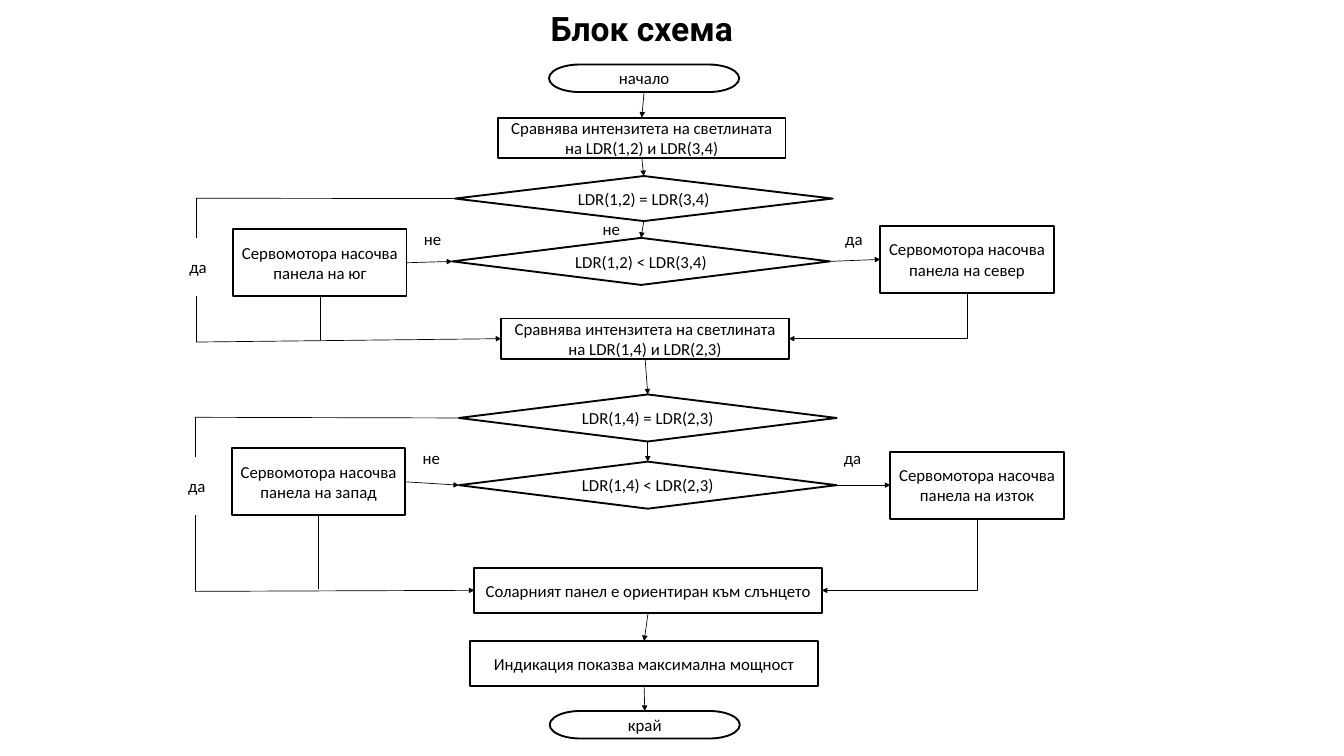
from collections import namedtuple

from lxml import etree
from pptx import Presentation, util as u
from pptx.dml.color import RGBColor
from pptx.enum import shapes, text
from pptx.oxml import ns

BLACK = RGBColor(0, 0, 0)
WHITE = RGBColor(255, 255, 255)
COLUMNS, ROWS = 200, 112.5
CELL = u.Inches(20) // COLUMNS
TOP, LEFT, BOTTOM, RIGHT = range(4)
FORM = shapes.MSO_SHAPE


class Box(namedtuple("Box", "left top width height")):
    def at(self, column, row, width, height):
        return Box(self.left + column, self.top + row, width, height)

    def point(self, column, row):
        return cells(self.left + column), cells(self.top + row)

    def lengths(self):
        return [cells(value) for value in self]


def cells(count):
    return u.Emu(round(count * CELL))


def write(frame, wording, size=18, font="Calibri", bold=False, align=text.PP_ALIGN.CENTER):
    frame.word_wrap = True
    frame.text = wording
    para = frame.paragraphs[0]
    para.alignment = align
    span = para.runs[0]
    span.font.size = u.Pt(size)
    span.font.name = font
    span.font.bold = bold
    span.font.color.rgb = BLACK


def add_label(page, box, wording, **style):
    frame = page.shapes.add_textbox(*box.lengths()).text_frame
    write(frame, wording, **style)
    frame.auto_size = text.MSO_AUTO_SIZE.SHAPE_TO_FIT_TEXT


def add_step(page, form, box, wording):
    step = page.shapes.add_shape(form, *box.lengths())
    step.shadow.inherit = False
    step.fill.solid()
    step.fill.fore_color.rgb = WHITE
    step.line.color.rgb = BLACK
    step.line.width = u.Pt(2)
    step.text_frame.vertical_anchor = text.MSO_ANCHOR.MIDDLE
    write(step.text_frame, wording)
    return step


def side_point(step, side):
    middle = step.left + step.width // 2, step.top + step.height // 2
    return {
        TOP: (middle[0], step.top),
        LEFT: (step.left, middle[1]),
        BOTTOM: (middle[0], step.top + step.height),
        RIGHT: (step.left + step.width, middle[1]),
    }[side]


def add_line(page, begin, end, arrow=False):
    line = page.shapes.add_connector(shapes.MSO_CONNECTOR.STRAIGHT, *begin, *end)
    line.line.color.rgb = BLACK
    line.line.width = u.Pt(0.75)
    if arrow:
        etree.SubElement(line.line._get_or_add_ln(), ns.qn("a:tailEnd"), type="triangle")
    etree.SubElement(line._element.spPr, ns.qn("a:effectLst"))
    return line


def link(page, begin, end, arrow=True):
    points = [side_point(*joint) if hasattr(joint[0], "shape_type") else joint for joint in (begin, end)]
    line = add_line(page, *points, arrow=arrow)
    if points[0] != begin:
        line.begin_connect(*begin)
    if points[1] != end:
        line.end_connect(*end)


def add_bend(page, begin, end):
    run, drop = begin[0] - end[0], end[1] - begin[1]
    left = (begin[0] + end[0] - drop) // 2
    top = (begin[1] + end[1] - run) // 2
    bend = add_line(page, (left, top), (left + drop, top + run), arrow=True)
    bend._element.spPr.find(ns.qn("a:xfrm")).set("rot", "5400000")
    bend._element.spPr.find(ns.qn("a:prstGeom")).set("prst", "bentConnector2")


def draw_opening(page, box):
    add_label(page, box.at(0, 0, 42.8, 7.1), "Блок схема", size=36, font="Roboto", bold=True)
    start = add_step(page, FORM.FLOWCHART_TERMINATOR, box.at(7.6, 8.9, 28.3, 4.1), "начало")
    compare = draw_comparison(page, box.at(0, 16.8, 42.8, 6), "LDR(1,2) и LDR(3,4)")
    link(page, (start, BOTTOM), (compare, TOP))
    return compare


def draw_comparison(page, box, pairs):
    return add_step(page, FORM.RECTANGLE, box, f"Сравнява интензитета на светлината на {pairs}")


def draw_closing(page, box):
    aligned = add_step(page, FORM.FLOWCHART_PROCESS, box.at(0.6, 0, 51.7, 6.7),
                       "Соларният панел е ориентиран към слънцето")
    display = add_step(page, FORM.FLOWCHART_PROCESS, box.at(0, 10.9, 51.7, 6.7),
                       "Индикация показва максимална мощност")
    finish = add_step(page, FORM.FLOWCHART_TERMINATOR, box.at(11.8, 21.3, 28.3, 4.1), "край")
    link(page, (aligned, BOTTOM), (display, TOP))
    link(page, (display, BOTTOM), (finish, TOP))
    return aligned


def draw_stage(page, box, pairs, directions, equal_box, less_box, east_row, source, target):
    equal = add_step(page, FORM.FLOWCHART_DECISION, box.at(*equal_box), " = ".join(pairs))
    less = add_step(page, FORM.FLOWCHART_DECISION, box.at(*less_box), " < ".join(pairs))
    places = (5.5, 4.6), (box.width - 25.8, east_row)
    west, east = [
        add_step(page, FORM.RECTANGLE, box.at(*place, 25.8, 10), f"Сервомотора насочва панела на {direction}")
        for place, direction in zip(places, directions)
    ]

    link(page, (source, BOTTOM), (equal, TOP))
    link(page, (equal, BOTTOM), (less, TOP))
    link(page, (west, RIGHT), (less, LEFT))
    link(page, (less, RIGHT), (east, LEFT))

    link(page, box.point(0, 0), (equal, LEFT), arrow=False)
    add_line(page, box.point(0, 0), box.point(0, 5.9))
    add_line(page, box.point(0, 14.6), box.point(0, box.height))
    link(page, box.point(0, box.height), (target, LEFT))
    link(page, (west, BOTTOM), box.point(18.4, box.height - 0.3), arrow=False)
    add_bend(page, side_point(east, BOTTOM), side_point(target, RIGHT))

    for column, row, answer in ((-2, 8.2, "да"), (32.9, 4.1, "не"), (95.6, 4.1, "да")):
        add_label(page, box.at(column, row, 6, 4), answer, align=text.PP_ALIGN.LEFT)


def main():
    deck = Presentation()
    deck.slide_width, deck.slide_height = cells(COLUMNS), cells(ROWS)
    page = deck.slides.add_slide(deck.slide_layouts[6])

    first = draw_opening(page, Box(74.1, 0.7, 42.8, 22.8))
    second = draw_comparison(page, Box(74.6, 47.4, 42.8, 6), "LDR(1,4) и LDR(2,3)")
    aligned = draw_closing(page, Box(70, 84.5, 52.3, 25.4))

    upper = Box(29.2, 29.5, 127.6, 21.4)
    lower = Box(29, 62.1, 129.3, 25.9)
    draw_stage(page, upper, ("LDR(1,2)", "LDR(3,4)"), ("юг", "север"),
               (38.5, -3.3, 56.2, 6.7), (38.1, 5.9, 56.2, 7), 4.1, first, second)
    add_label(page, upper.at(59.5, 2.5, 6, 4), "не", align=text.PP_ALIGN.LEFT)
    draw_stage(page, lower, ("LDR(1,4)", "LDR(2,3)"), ("запад", "изток"),
               (39.3, -3.4, 56.2, 7), (39.3, 6.6, 56.2, 7), 5.1, second, aligned)

    deck.save("out.pptx")


if __name__ == "__main__":
    main()
